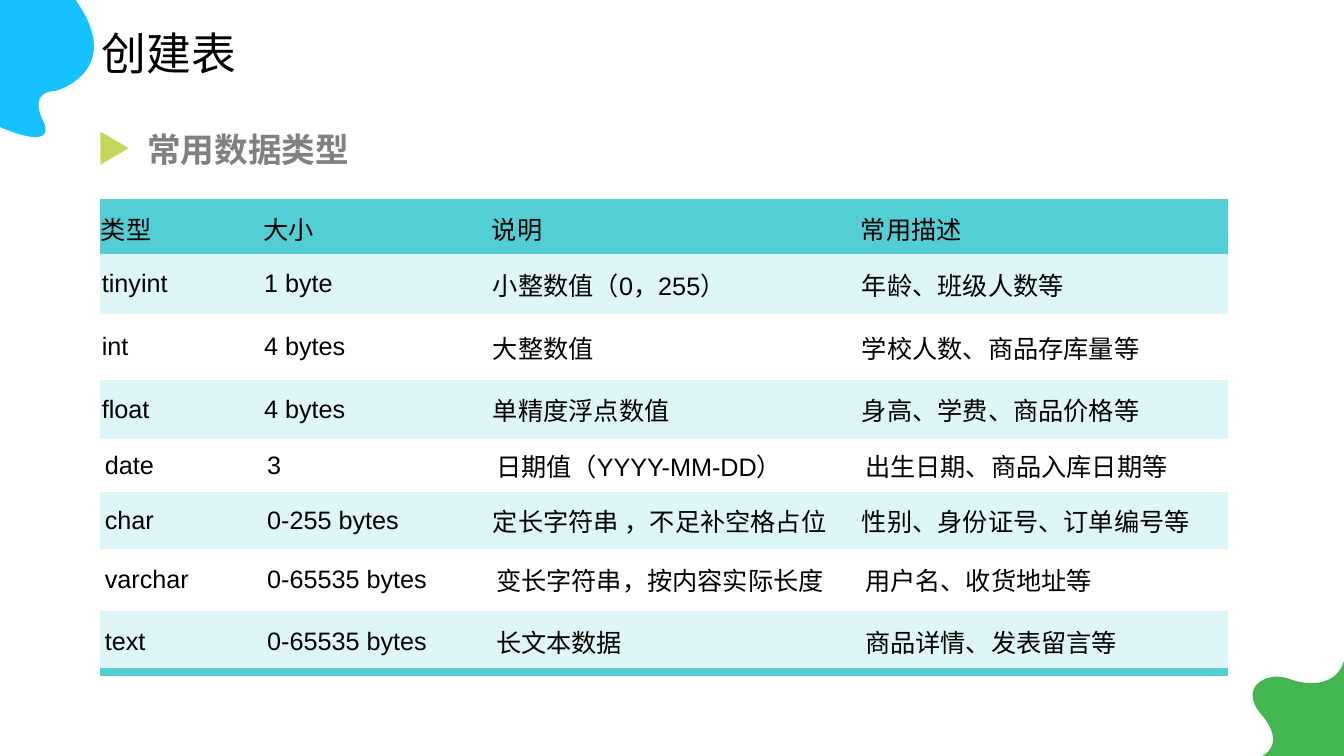
from lxml.etree import SubElement
from pptx import Presentation
from pptx.dml.color import RGBColor
from pptx.enum.shapes import MSO_SHAPE as Shape
from pptx.enum.text import MSO_ANCHOR as Anchor, MSO_AUTO_SIZE as AutoSize, PP_ALIGN as Align
from pptx.oxml import parse_xml
from pptx.oxml.ns import nsdecls, qn
from pptx.util import Inches, Pt

BLACK = RGBColor(0x00, 0x00, 0x00)
GRAY = RGBColor(0x80, 0x80, 0x80)
WHITE = RGBColor(0xFF, 0xFF, 0xFF)
BLUE = RGBColor(0x15, 0xC2, 0xFF)
GREEN = RGBColor(0x43, 0xB6, 0x51)
LIME = RGBColor(0xC6, 0xD6, 0x5B)
TEAL = RGBColor(0x53, 0xCE, 0xD5)
PALE = RGBColor(0xDE, 0xF6, 0xF7)

CJK = "Noto Sans CJK SC"
HEADING = "创建表"
SUBHEADING = "常用数据类型"
TIGHT, NARROW, WIDE = (0.01, 0.01), (0.02, 0.03), (0.05, 0.07)
TYPES = [
    (0.51, [TIGHT] * 4, ("类型", "大小", "说明", "常用描述")),
    (0.60, [NARROW] * 4, ("tinyint", "1 byte", "小整数值（0，255）", "年龄、班级人数等")),
    (0.65, [NARROW] * 4, ("int", "4 bytes", "大整数值", "学校人数、商品存库量等")),
    (0.59, [NARROW] * 4, ("float", "4 bytes", "单精度浮点数值", "身高、学费、商品价格等")),
    (0.52, [WIDE] * 4, ("date", "3", "日期值（YYYY-MM-DD）", "出生日期、商品入库日期等")),
    (0.57, [WIDE] * 2 + [NARROW] * 2,
     ("char", "0-255 bytes", "定长字符串 ，不足补空格占位", "性别、身份证号、订单编号等")),
    (0.61, [WIDE] * 4,
     ("varchar", "0-65535 bytes", "变长字符串，按内容实际长度", "用户名、收货地址等")),
    (0.61, [WIDE] * 4, ("text", "0-65535 bytes", "长文本数据", "商品详情、发表留言等")),
]
COLUMN_WIDTHS = (1.61, 2.27, 3.66, 3.65)
BLOBS = [
    (BLUE, (0, 126), [
        ((0, 126), (57, 152), (43, 120)),
        ((43, 120), (26, 91), (56, 90)),
        ((56, 90), (125, 70), (75, 0)),
        ((0, 0), (0, 0), (0, 0)),
    ]),
    (GREEN, (1252, 750), [
        ((1252, 750), (1276, 739), (1252, 710)),
        ((1227, 682), (1256, 666), (1277, 673)),
        ((1298, 681), (1325, 681), (1333, 656)),
        ((1333, 750), (1333, 750), (1333, 750)),
    ]),
]
NO_STYLE = "{2D5ABB26-0587-4C30-8999-92F81FD0307C}"

HEADING_FONT = {"name": CJK, "size": Pt(32), "bold": False}
SUBHEADING_FONT = {"name": CJK, "size": Pt(24), "bold": True}
CELL_FONT = {"name": "Arial", "size": Pt(18), "bold": False}


def apply(target, values):
    for name, value in values.items():
        setattr(target, name, value)


def write(paragraph, wording, font, color):
    run = paragraph.add_run()
    run.text = wording
    apply(run.font, font)
    run.font.color.rgb = color
    SubElement(run.font._element, qn("a:ea")).set("typeface", CJK)


def paint(shape, color):
    shape.shadow.inherit = False
    shape.fill.solid()
    shape.fill.fore_color.rgb = color
    shape.line.fill.background()


def draw_blob(slide, color, start, curves):
    builder = slide.shapes.build_freeform(*start, scale=Inches(0.01))
    builder.add_line_segments([point for curve in curves for point in curve], close=True)
    blob = builder.convert_to_shape()
    segments = list(blob._element.iter(qn("a:lnTo")))
    for first in range(0, 3 * len(curves), 3):
        bezier = parse_xml(f'<a:cubicBezTo {nsdecls("a")}/>')
        segments[first].addprevious(bezier)
        for segment in segments[first:first + 3]:
            bezier.append(segment[0])
            segment.getparent().remove(segment)
    paint(blob, color)


def add_heading(slide):
    heading = slide.shapes.title
    apply(heading, {"left": Inches(0.91), "top": Inches(0.2),
                    "width": Inches(1.53), "height": Inches(0.64)})
    apply(heading.text_frame, {"word_wrap": False, "auto_size": AutoSize.SHAPE_TO_FIT_TEXT,
                               "vertical_anchor": Anchor.TOP, "margin_right": 0})
    paragraph = heading.text_frame.paragraphs[0]
    paragraph.alignment = Align.LEFT
    write(paragraph, HEADING, HEADING_FONT, BLACK)


def add_subheading(slide):
    box = slide.shapes.add_textbox(Inches(1.29), Inches(1.15), Inches(3.46), Inches(0.58))
    apply(box.text_frame, {"word_wrap": True, "margin_left": Inches(0.17)})
    paragraph = box.text_frame.paragraphs[0]
    paragraph.line_spacing = 1.2
    write(paragraph, SUBHEADING, SUBHEADING_FONT, GRAY)


def add_marker(slide):
    marker = slide.shapes.add_shape(
        Shape.ISOSCELES_TRIANGLE, Inches(0.97), Inches(1.33), Inches(0.33), Inches(0.28))
    marker.rotation = 90
    paint(marker, LIME)


def add_border(cell, side):
    cell._tc.get_or_add_tcPr().insert(0, parse_xml(
        f'<a:{side} {nsdecls("a")} w="{Pt(6)}"><a:solidFill>'
        f'<a:srgbClr val="{TEAL}"/></a:solidFill></a:{side}>'))


def add_types(slide):
    frame = slide.shapes.add_table(
        len(TYPES), len(COLUMN_WIDTHS), Inches(0.99), Inches(2.01),
        Inches(sum(COLUMN_WIDTHS)), Inches(sum(height for height, _, _ in TYPES)))
    table = frame.table
    apply(table, {"first_row": False, "horz_banding": False})
    table._tbl.tblPr.find(qn("a:tableStyleId")).text = NO_STYLE
    for column, width in zip(table.columns, COLUMN_WIDTHS):
        column.width = Inches(width)
    last = len(TYPES) - 1
    for index, (height, margins, wording) in enumerate(TYPES):
        table.rows[index].height = Inches(height)
        color = TEAL if index == 0 else PALE if index % 2 else WHITE
        for cell, (side, edge), words in zip(table.rows[index].cells, margins, wording):
            apply(cell, {"margin_left": Inches(side), "margin_right": Inches(side),
                         "margin_top": Inches(edge), "margin_bottom": Inches(edge),
                         "vertical_anchor": Anchor.MIDDLE})
            cell.fill.solid()
            cell.fill.fore_color.rgb = color
            write(cell.text_frame.paragraphs[0], words, CELL_FONT, BLACK)
            if index in (0, last):
                add_border(cell, "lnB" if index else "lnT")


def main():
    deck = Presentation()
    apply(deck, {"slide_width": Inches(13.33), "slide_height": Inches(7.5)})
    slide = deck.slides.add_slide(deck.slide_layouts[5])
    for blob in BLOBS:
        draw_blob(slide, *blob)
    add_heading(slide)
    add_subheading(slide)
    add_types(slide)
    add_marker(slide)
    deck.save("out.pptx")


if __name__ == "__main__":
    main()
